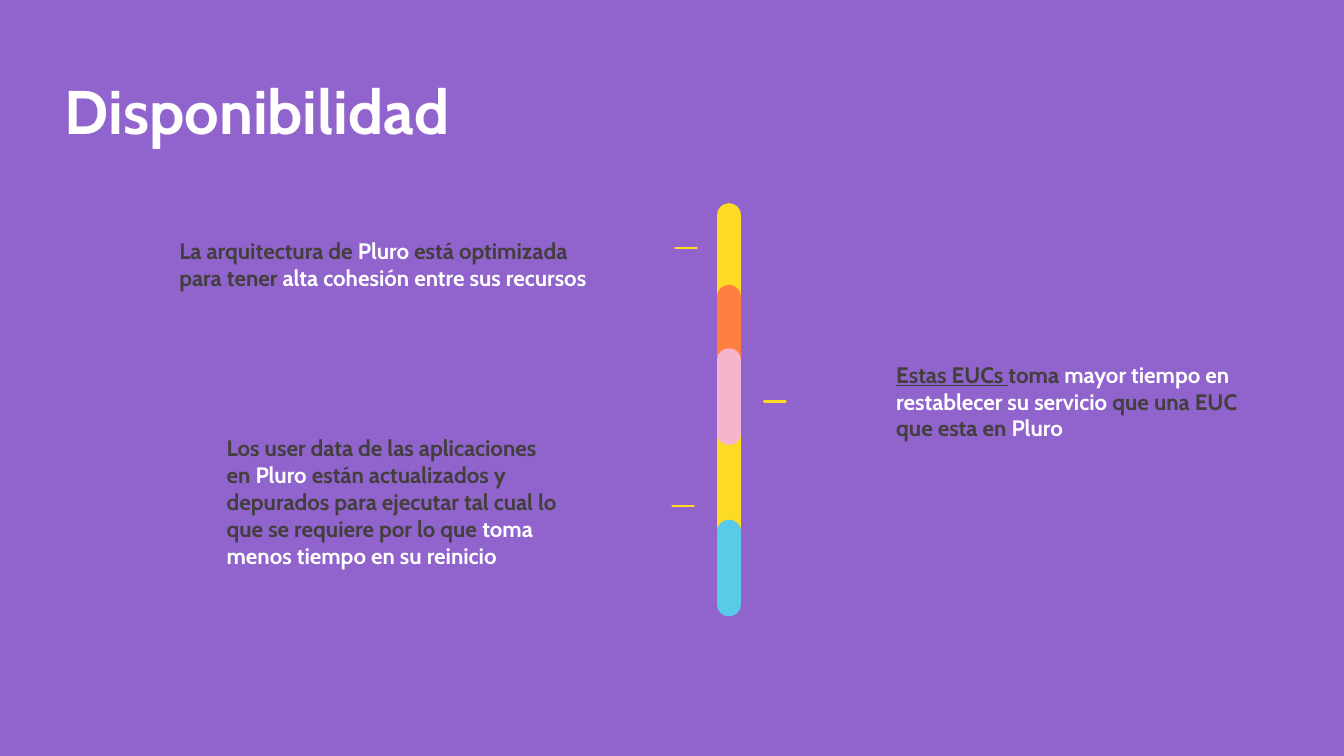
from lxml.etree import SubElement
from pptx import Presentation
from pptx.dml.color import RGBColor
from pptx.enum.shapes import MSO_CONNECTOR
from pptx.enum.text import MSO_AUTO_SIZE
from pptx.oxml.ns import qn
from pptx.util import Inches, Pt

COLORS = {
    "purple": "9063CD",
    "white": "FEFFFE",
    "dark": "423F3C",
    "yellow": "FDDA24",
    "orange": "FF7F41",
    "blue": "59CBE8",
    "pink": "F5B6CD",
}
FONT = "Cabin"
BAR_X = 7.23
BAR_WIDTH = 16.5
DASH_LENGTH = 0.21
DASH_WIDTH = 2

TITLE = ((0.54, 0.67, 5.32, 0.84), [("Disponibilidad", "white")])
NOTES = [
    ((1.68, 2.3, 4.29, 0.64), [
        ("La arquitectura de ", "dark"),
        ("Pluro", "white"),
        (" está optimizada para tener ", "dark"),
        ("alta cohesión entre sus recursos", "white"),
    ]),
    ((8.79, 3.53, 3.85, 0.91), [
        ("Estas EUCs ", "dark", True),
        ("toma ", "dark"),
        ("mayor tiempo en restablecer su servicio", "white"),
        (" que una EUC que esta en ", "dark"),
        ("Pluro", "white"),
    ]),
    ((2.15, 4.26, 3.5, 1.45), [
        ("Los user data de las aplicaciones en ", "dark"),
        ("Pluro", "white"),
        (" están actualizados y depurados para ejecutar tal cual lo "
         "que se requiere por lo que ", "dark"),
        ("toma menos tiempo en su reinicio", "white"),
    ]),
]
BAR_SEGMENTS = [
    ("yellow", 2.13, 5.22),
    ("orange", 2.94, 3.67),
    ("blue", 5.27, 6),
    ("pink", 3.57, 4.3),
]
DASHES = [(6.7, 2.46), (7.58, 3.98), (6.67, 5.02)]


def rgb(name):
    return RGBColor.from_string(COLORS[name])


def add_text(slide, box, runs, *, size, bold=True):
    shape = slide.shapes.add_textbox(*map(Inches, box))
    frame = shape.text_frame
    frame.word_wrap = True
    frame.auto_size = MSO_AUTO_SIZE.SHAPE_TO_FIT_TEXT
    paragraph = frame.paragraphs[0]
    for text, color, *underline in runs:
        run = paragraph.add_run()
        run.text = text
        run.font.name = FONT
        run.font.size = Pt(size)
        run.font.bold = bold
        run.font.underline = bool(underline)
        run.font.color.rgb = rgb(color)


def add_round_line(slide, start, end, color, width):
    points = map(Inches, (*start, *end))
    connector = slide.shapes.add_connector(MSO_CONNECTOR.STRAIGHT, *points)
    connector.line.color.rgb = rgb(color)
    connector.line.width = Pt(width)
    properties = connector.element.spPr
    properties.find(qn("a:ln")).set("cap", "rnd")
    SubElement(properties, qn("a:effectLst"))


def main():
    presentation = Presentation()
    presentation.slide_width = Inches(13.33)
    presentation.slide_height = Inches(7.5)
    slide = presentation.slides.add_slide(presentation.slide_layouts[6])
    slide.background.fill.solid()
    slide.background.fill.fore_color.rgb = rgb("purple")

    add_text(slide, *TITLE, size=44)
    for box, runs in NOTES:
        add_text(slide, box, runs, size=16)
    for color, top, bottom in BAR_SEGMENTS:
        add_round_line(slide, (BAR_X, top), (BAR_X, bottom), color, BAR_WIDTH)
    for left, y in DASHES:
        add_round_line(slide, (left, y), (left + DASH_LENGTH, y), "yellow", DASH_WIDTH)

    presentation.save("out.pptx")


if __name__ == "__main__":
    main()
